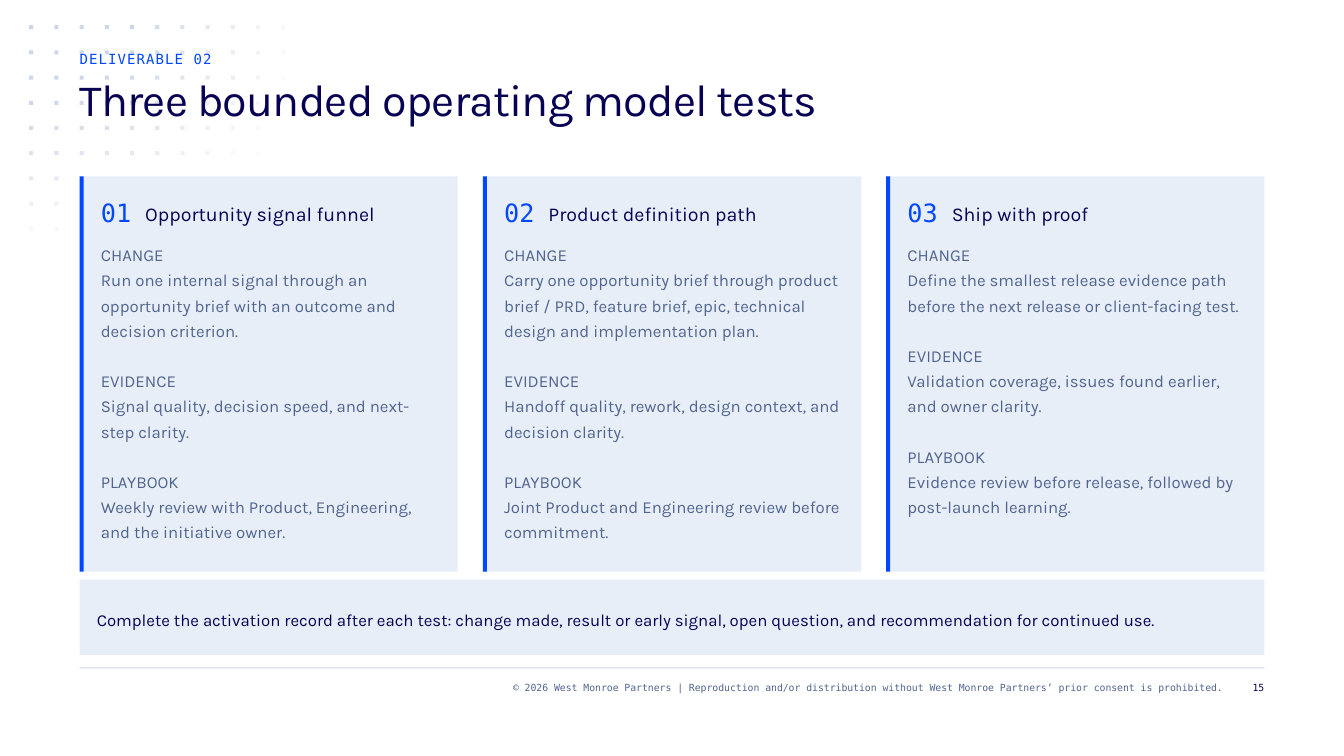
from dataclasses import dataclass
from math import hypot

from lxml import etree
from pptx import Presentation
from pptx import util as u
from pptx.dml.color import RGBColor
from pptx.enum import shapes, text
from pptx.oxml.ns import qn


@dataclass(frozen=True)
class Theme:
    # Colours
    navy: str = "070154"
    blue: str = "0047FF"
    slate: str = "50658E"
    panel: str = "E8EEF8"
    rule: str = "CED7E6"
    # Fonts
    sans: str = "Karla"
    mono: str = "DejaVu Sans Mono"
    # Type sizes
    title: int = 32
    number: int = 18
    heading: int = 14
    body: int = 12
    eyebrow: int = 10
    footer: int = 7


class Deck:
    def __init__(self, theme):
        self.t = theme
        self.prs = Presentation()
        self.prs.slide_width = u.Inches(13.33)
        self.prs.slide_height = u.Inches(7.5)
        self.s = self.prs.slides.add_slide(self.prs.slide_layouts[6])

    def rect(self, x, y, w, h, color, alpha=100):
        sp = self.s.shapes.add_shape(shapes.MSO_SHAPE.RECTANGLE,
                                     *map(u.Inches, (x, y, w, h)))
        sp.shadow.inherit = False
        sp.line.fill.background()
        sp.fill.solid()
        sp.fill.fore_color.rgb = RGBColor.from_string(color)
        if alpha < 100:
            clr = sp.fill._xPr.find(".//" + qn("a:srgbClr"))
            etree.SubElement(clr, qn("a:alpha")).set("val", str(alpha * 1000))

    def text(self, x, y, w, h, lines, size, leading, color, font=None,
             right=False, spacing=0):
        """lines holds (text, space before in points) pairs."""
        sp = self.s.shapes.add_textbox(*map(u.Inches, (x, y, w, h)))
        tf = sp.text_frame
        tf.word_wrap = True
        tf.margin_left = tf.margin_right = tf.margin_top = tf.margin_bottom = 0
        for i, (line, before) in enumerate(lines):
            p = tf.add_paragraph() if i else tf.paragraphs[0]
            p.line_spacing = u.Pt(leading)
            if before:
                p.space_before = u.Pt(before)
            if right:
                p.alignment = text.PP_ALIGN.RIGHT
            r = p.add_run()
            r.text = line
            r.font.size = u.Pt(size)
            r.font.name = font or self.t.sans
            r.font.color.rgb = RGBColor.from_string(color)
            if spacing:
                r.font._element.set("spc", str(round(spacing * 100)))

    def dots(self):
        # Opacity falls off along an ellipse around the top left dot
        for col in range(11):
            for row in range(9 if col < 2 else 6):
                alpha = round(153 * (1 - hypot(col / 11.08, row / 9.08)))
                if alpha > 0:
                    self.rect(0.29 + col * 0.25, 0.25 + row * 0.25, 0.04, 0.04,
                              self.t.rule, alpha)

    def card(self, x, number, heading, sections):
        t = self.t
        self.rect(x, 1.75, 3.75, 3.92, t.panel)
        self.rect(x, 1.75, 0.04, 3.92, t.blue)
        self.text(x + 0.21, 1.92, 0.31, 0.33, [(number, 0)],
                  t.number, 24, t.blue, t.mono)
        self.text(x + 0.65, 1.94, 2.94, 0.29, [(heading, 0)],
                  t.heading, 21, t.navy)
        lines = []
        for label, copy in zip(("CHANGE", "EVIDENCE", "PLAYBOOK"), sections):
            lines += [(label, 18 if lines else 0), (copy, 0)]
        self.text(x + 0.21, 2.38, 3.38, 3, lines, t.body, 18, t.slate)


CARDS = [
    ("Opportunity signal funnel", (
        "Run one internal signal through an opportunity brief with an outcome and decision criterion.",
        "Signal quality, decision speed, and next-step clarity.",
        "Weekly review with Product, Engineering, and the initiative owner.")),
    ("Product definition path", (
        "Carry one opportunity brief through product brief / PRD, feature brief, epic, "
        "technical design and implementation plan.",
        "Handoff quality, rework, design context, and decision clarity.",
        "Joint Product and Engineering review before commitment.")),
    ("Ship with proof", (
        "Define the smallest release evidence path before the next release or client-facing test.",
        "Validation coverage, issues found earlier, and owner clarity.",
        "Evidence review before release, followed by post-launch learning.")),
]


def main():
    t = Theme()
    d = Deck(t)
    left, width = 0.79, 11.75

    # Background dots and footer
    d.dots()
    d.rect(left, 6.62, width, 0.01, t.rule)
    d.text(2.38, 6.75, 9.75, 0.25,
           [("© 2026 West Monroe Partners | Reproduction and/or distribution without "
             "West Monroe Partners’ prior consent is prohibited.", 0)],
           t.footer, 9, t.slate, t.mono, right=True)
    d.text(12.21, 6.75, 0.33, 0.25, [("15", 0)],
           t.footer, 9, t.navy, t.mono, right=True)

    # Title
    d.text(left, 0.5, 10.25, 0.25, [("DELIVERABLE 02", 0)],
           t.eyebrow, 12, t.blue, t.mono, spacing=0.8)
    d.text(left, 0.75, 10.25, 1, [("Three bounded operating model tests", 0)],
           t.title, 36, t.navy, spacing=-0.6)

    # Test cards
    for i, (heading, sections) in enumerate(CARDS):
        d.card(left + i * 4, f"{i + 1:02}", heading, sections)

    # Closing note
    d.rect(left, 5.75, width, 0.75, t.panel)
    d.text(0.96, 6, 11.42, 0.25,
           [("Complete the activation record after each test: change made, result or early "
             "signal, open question, and recommendation for continued use.", 0)],
           t.body, 18, t.navy)

    d.prs.save("out.pptx")


if __name__ == "__main__":
    main()
